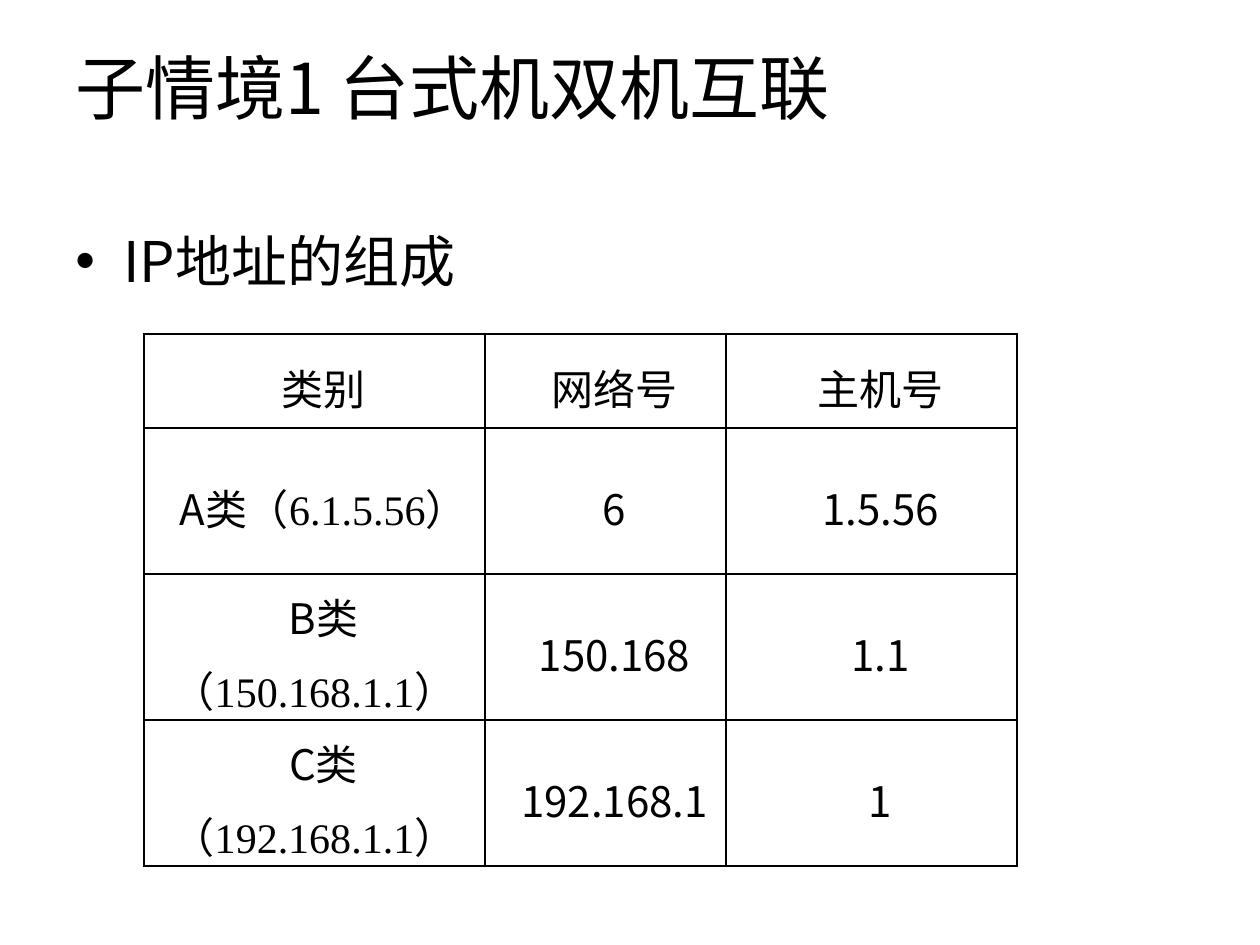
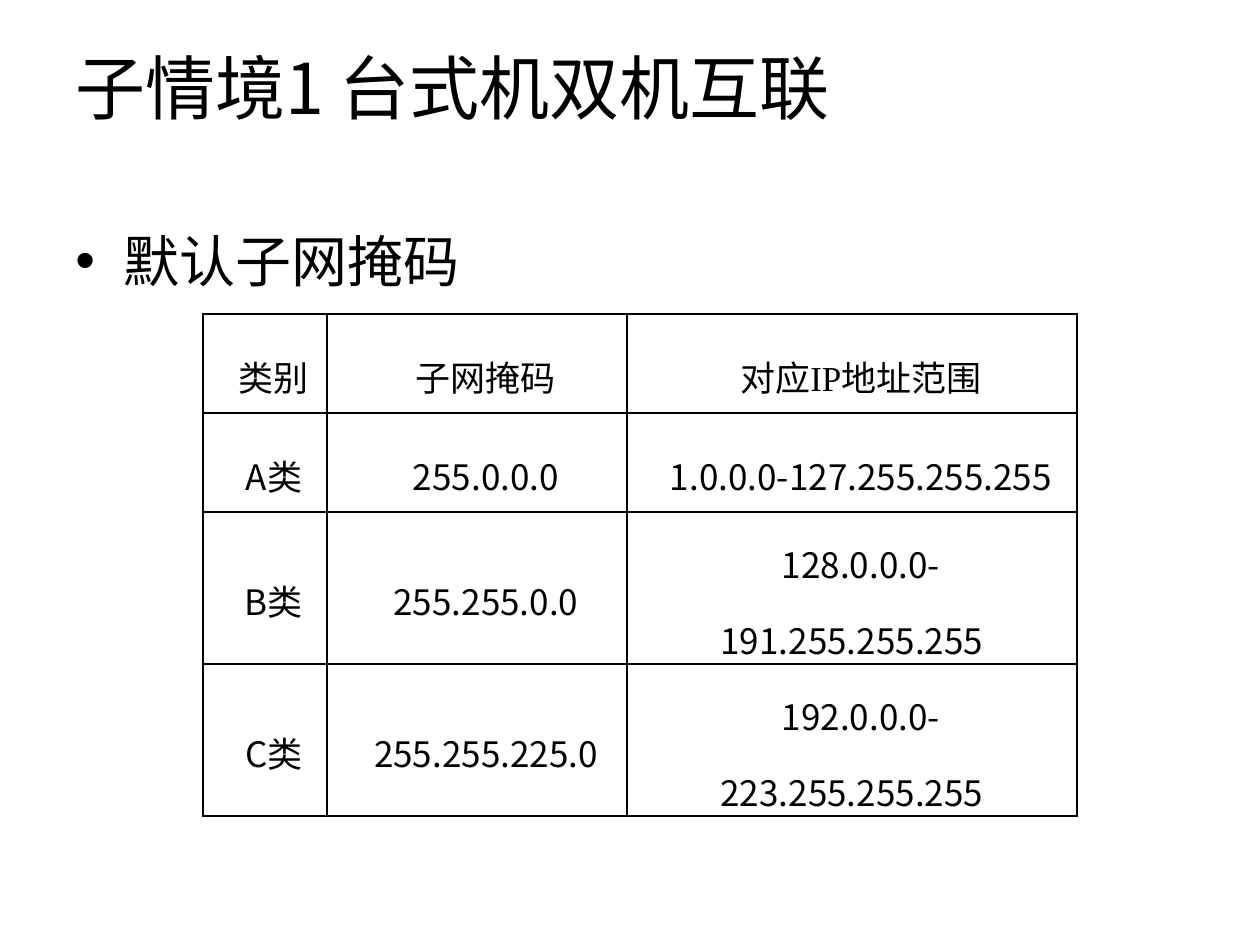
"""Build two slides on IP address classes and their default subnet masks."""
from dataclasses import dataclass

from lxml import etree
from pptx import Presentation
from pptx.dml.color import RGBColor
from pptx.enum.text import MSO_ANCHOR, PP_ALIGN
from pptx.oxml.ns import qn
from pptx.util import Emu, Pt

PX_PER_INCH = 126
BLACK = RGBColor(0, 0, 0)
WHITE = RGBColor(255, 255, 255)
SANS = "Noto Sans CJK SC"
SERIF = "Times New Roman"
TOP, MIDDLE = MSO_ANCHOR.TOP, MSO_ANCHOR.MIDDLE
LEFT, CENTER = PP_ALIGN.LEFT, PP_ALIGN.CENTER
TITLE = "子情境1 台式机双机互联"
TITLE_BOX = (63, 38, 1134, 157)
BODY_BOX = (63, 220, 1134, 624)
TITLE_SIZE, BODY_SIZE = 40, 32
BULLET_INDENT = 48
CELL_INDENT = 18
CELL_INSET = 9
BORDER_TAGS = ("a:lnL", "a:lnR", "a:lnT", "a:lnB")


@dataclass(frozen=True)
class TextRun:
    """A piece of text in one Latin font."""
    text: str
    font: str = SANS


@dataclass(frozen=True)
class AddressTable:
    """A table of address classes, with its place and text settings."""
    left: int
    top: int
    columns: tuple[int, ...]
    row_heights: tuple[int, ...]
    font_size: int
    line_spacing: float
    rows: list[list[list[TextRun]]]


@dataclass(frozen=True)
class Topic:
    """A slide with one bullet and one table."""
    bullet: str
    table: AddressTable


def px(length: int) -> Emu:
    """Turn pixels into EMU."""
    return Emu(round(length * 914400 / PX_PER_INCH))


def header_row(*labels: str) -> list[list[TextRun]]:
    """Return the cells of a header row."""
    return [[TextRun(label, SERIF)] for label in labels]


def class_row(letter: str, label: str, *values: str) -> list[list[TextRun]]:
    """Return the cells of the row for one address class."""
    return [[TextRun(letter), TextRun(label, SERIF)], *([TextRun(value)] for value in values)]


def add_run(paragraph, text_run: TextRun, size: int) -> None:
    """Append a formatted run to a paragraph."""
    run = paragraph.add_run()
    run.text = text_run.text
    run.font.size = Pt(size)
    run.font.color.rgb = BLACK
    run.font.name = text_run.font
    east_asian = etree.SubElement(run._r.get_or_add_rPr(), qn("a:ea"))
    east_asian.set("typeface", SANS)


def place_text(shape, box: tuple[int, ...], text: str, size: int):
    """Position a text shape, write its only paragraph and return it."""
    shape.left, shape.top, shape.width, shape.height = map(px, box)
    frame = shape.text_frame
    frame.word_wrap = True
    frame.vertical_anchor = TOP
    paragraph = frame.paragraphs[0]
    paragraph.alignment = LEFT
    add_run(paragraph, TextRun(text), size)
    return paragraph


def add_bullet(slide, text: str) -> None:
    """Add the bulleted body text."""
    shape = slide.shapes.add_textbox(*map(px, BODY_BOX))
    paragraph = place_text(shape, BODY_BOX, text, BODY_SIZE)
    properties = paragraph._p.get_or_add_pPr()
    properties.set("marL", str(px(BULLET_INDENT)))
    properties.set("indent", str(-px(BULLET_INDENT)))
    font = etree.SubElement(properties, qn("a:buFont"))
    font.set("typeface", "Arial")
    bullet = etree.SubElement(properties, qn("a:buChar"))
    bullet.set("char", "•")


def add_borders(cell) -> None:
    """Draw a thin black line on every side of a cell."""
    properties = cell._tc.get_or_add_tcPr()
    for tag in BORDER_TAGS:
        line = etree.SubElement(properties, qn(tag), w=str(Pt(1)))
        fill = etree.SubElement(line, qn("a:solidFill"))
        etree.SubElement(fill, qn("a:srgbClr"), val=str(BLACK))


def fill_cell(cell, runs: list[TextRun], table: AddressTable) -> None:
    """Format a cell and write its runs."""
    add_borders(cell)
    cell.fill.background()
    cell.vertical_anchor = MIDDLE
    cell.margin_left = cell.margin_right = px(CELL_INSET)
    cell.margin_top = cell.margin_bottom = 0
    paragraph = cell.text_frame.paragraphs[0]
    paragraph.alignment = CENTER
    paragraph.line_spacing = table.line_spacing
    paragraph._p.get_or_add_pPr().set("indent", str(px(CELL_INDENT)))
    for text_run in runs:
        add_run(paragraph, text_run, table.font_size)


def add_address_table(slide, table: AddressTable) -> None:
    """Add a table of address classes."""
    frame = slide.shapes.add_table(
        len(table.rows), len(table.columns), px(table.left), px(table.top),
        px(sum(table.columns)), px(sum(table.row_heights)))
    grid = frame.table
    grid.first_row = grid.horz_banding = False
    for column, width in zip(grid.columns, table.columns):
        column.width = px(width)
    for row, height, cells in zip(grid.rows, table.row_heights, table.rows):
        row.height = px(height)
        for cell, runs in zip(row.cells, cells):
            fill_cell(cell, runs, table)


TOPICS = [
    Topic("IP地址的组成", AddressTable(144, 334, (341, 241, 291), (94, 146, 146, 146), 24, 1.2, [
        header_row("类别", "网络号", "主机号"),
        class_row("A", "类（6.1.5.56）", "6", "1.5.56"),
        class_row("B", "类（150.168.1.1）", "150.168", "1.1"),
        class_row("C", "类（192.168.1.1）", "192.168.1", "1"),
    ])),
    Topic("默认子网掩码", AddressTable(203, 314, (124, 300, 450), (99, 99, 152, 152), 20, 1.5, [
        header_row("类别", "子网掩码", "对应IP地址范围"),
        class_row("A", "类", "255.0.0.0", "1.0.0.0-127.255.255.255"),
        class_row("B", "类", "255.255.0.0", "128.0.0.0-191.255.255.255"),
        class_row("C", "类", "255.255.225.0", "192.0.0.0-223.255.255.255"),
    ])),
]


def add_topic_slide(presentation, topic: Topic) -> None:
    """Add a slide with the shared title, a bullet and a table."""
    slide = presentation.slides.add_slide(presentation.slide_layouts[5])
    slide.background.fill.solid()
    slide.background.fill.fore_color.rgb = WHITE
    place_text(slide.shapes.title, TITLE_BOX, TITLE, TITLE_SIZE)
    add_bullet(slide, topic.bullet)
    add_address_table(slide, topic.table)


def main() -> None:
    """Build and save the presentation."""
    presentation = Presentation()
    presentation.slide_width, presentation.slide_height = px(1260), px(945)
    for topic in TOPICS:
        add_topic_slide(presentation, topic)
    presentation.save("out.pptx")


if __name__ == "__main__":
    main()
